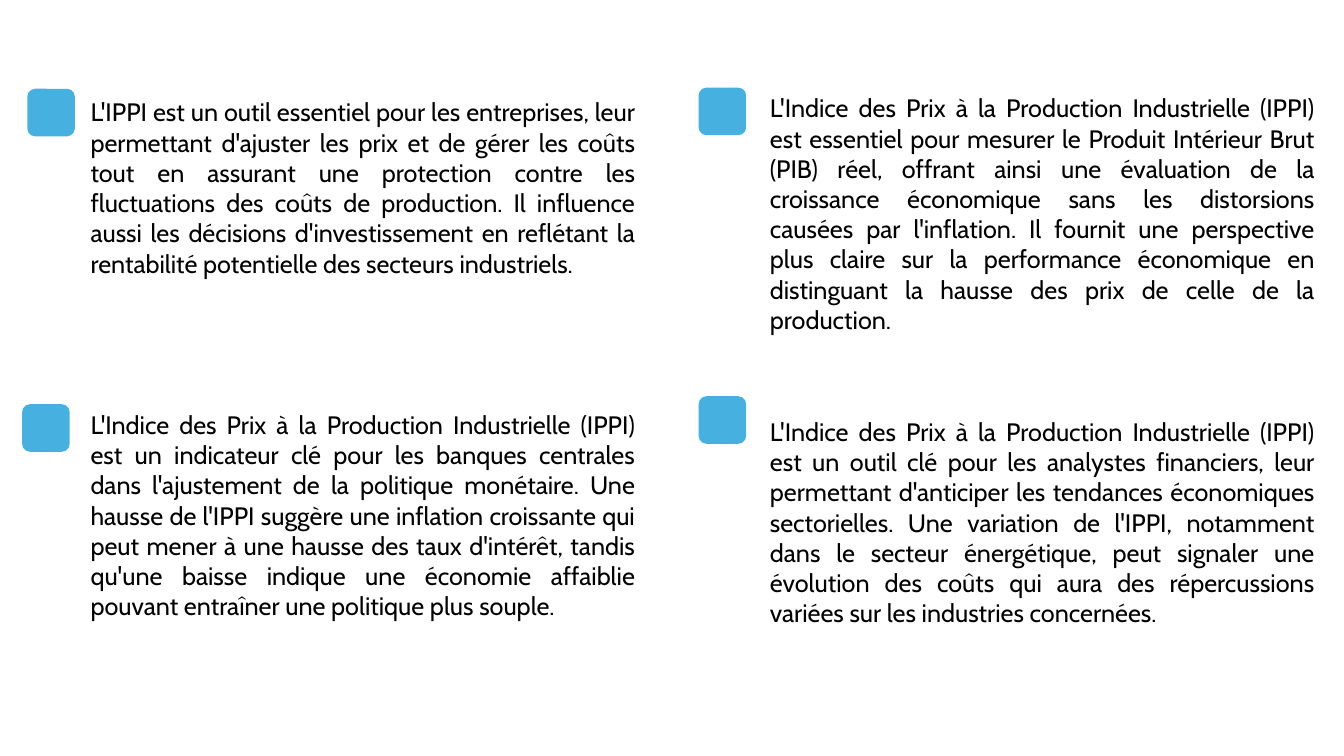
from pptx import Presentation
from pptx.dml.color import RGBColor
from pptx.enum import shapes, text
from pptx.util import Pt

INK = {"text": "000000", "mark": "46B1E1"}
SIDE = 34      # marker side
WIDE = 403.2   # text width

# text left, top, height; marker left, top; wording
ITEMS = [
    (57.6, 65.5, 138.2, 19.5, 63.4,
     "L'IPPI est un outil essentiel pour les entreprises, leur permettant "
     "d'ajuster les prix et de gérer les coûts tout en assurant une protection "
     "contre les fluctuations des coûts de production. Il influence aussi les "
     "décisions d'investissement en reflétant la rentabilité potentielle des "
     "secteurs industriels."),
    (542.9, 62.6, 181.4, 499, 62.6,
     "L'Indice des Prix à la Production Industrielle (IPPI) est essentiel pour "
     "mesurer le Produit Intérieur Brut (PIB) réel, offrant ainsi une évaluation "
     "de la croissance économique sans les distorsions causées par l'inflation. "
     "Il fournit une perspective plus claire sur la performance économique en "
     "distinguant la hausse des prix de celle de la production."),
    (57.6, 288.7, 247, 15.8, 288.7,
     "L'Indice des Prix à la Production Industrielle (IPPI) est un indicateur clé "
     "pour les banques centrales dans l'ajustement de la politique monétaire. Une "
     "hausse de l'IPPI suggère une inflation croissante qui peut mener à une "
     "hausse des taux d'intérêt, tandis qu'une baisse indique une économie "
     "affaiblie pouvant entraîner une politique plus souple."),
    (542.9, 293.8, 181.4, 499, 283,
     "L'Indice des Prix à la Production Industrielle (IPPI) est un outil clé pour "
     "les analystes financiers, leur permettant d'anticiper les tendances "
     "économiques sectorielles. Une variation de l'IPPI, notamment dans le secteur "
     "énergétique, peut signaler une évolution des coûts qui aura des "
     "répercussions variées sur les industries concernées."),
]

deck = Presentation()
deck.slide_width, deck.slide_height = Pt(960), Pt(540)
slide = deck.slides.add_slide(deck.slide_layouts[6])

for left, top, high, mark_x, mark_y, words in ITEMS:
    box = slide.shapes.add_textbox(Pt(left), Pt(top), Pt(WIDE), Pt(high))
    frame = box.text_frame
    frame.word_wrap = True
    frame.auto_size = text.MSO_AUTO_SIZE.SHAPE_TO_FIT_TEXT
    para = frame.paragraphs[0]
    para.alignment = text.PP_ALIGN.JUSTIFY
    run = para.add_run()
    run.text = words
    run.font.name = "Cabin"
    run.font.size = Pt(18)
    run.font.color.rgb = RGBColor.from_string(INK["text"])

    mark = slide.shapes.add_shape(shapes.MSO_SHAPE.ROUNDED_RECTANGLE,
                                  Pt(mark_x), Pt(mark_y), Pt(SIDE), Pt(SIDE))
    mark.shadow.inherit = False
    mark.fill.solid()
    mark.fill.fore_color.rgb = RGBColor.from_string(INK["mark"])
    mark.line.fill.background()

deck.save("out.pptx")
